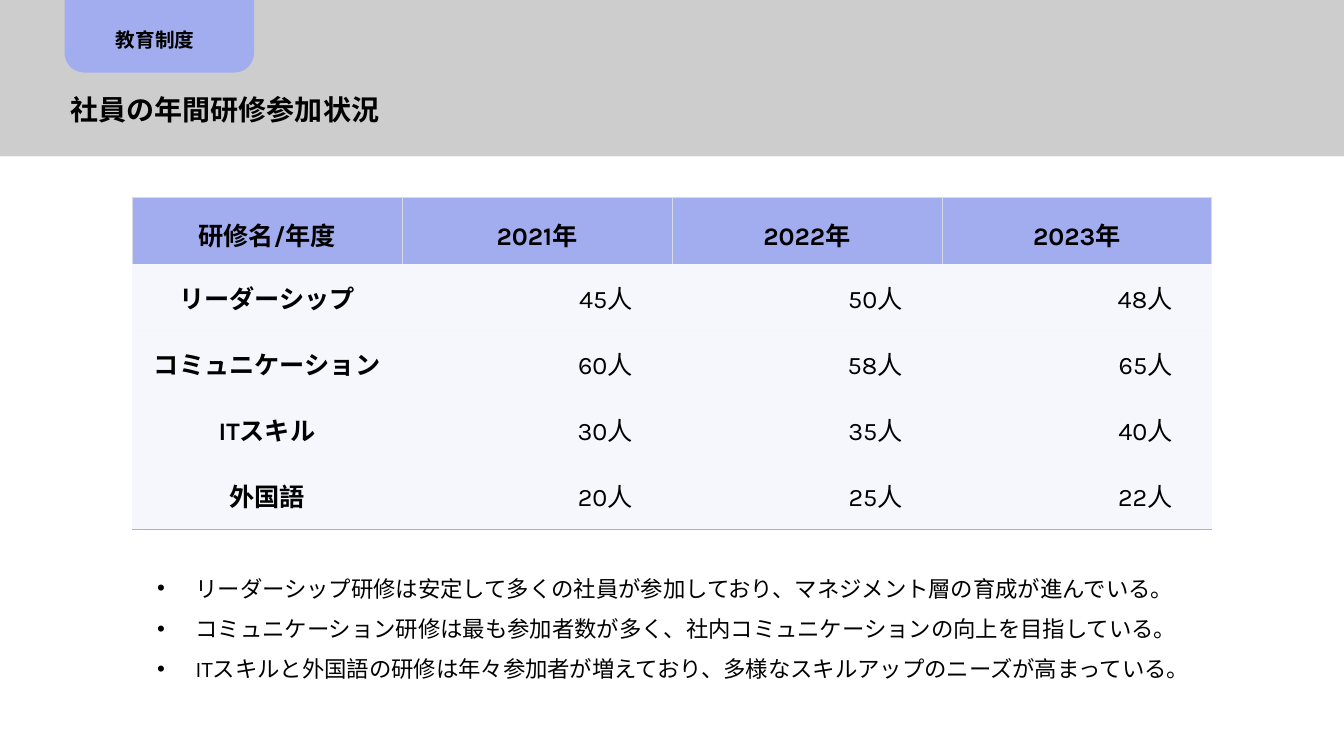
from typing import NamedTuple

from lxml.etree import SubElement
from pptx import Presentation
from pptx.dml.color import RGBColor
from pptx.enum.shapes import MSO_SHAPE as Preset
from pptx.enum.text import MSO_ANCHOR as Anchor, MSO_AUTO_SIZE as AutoSize, PP_ALIGN as Align
from pptx.oxml import parse_xml
from pptx.oxml.ns import nsdecls, qn
from pptx.util import Inches, Pt

FONT = "Karla"
BLACK = RGBColor(0x00, 0x00, 0x00)
GREY = RGBColor(0x80, 0x80, 0x80)
PALE_GREY = RGBColor(0xF2, 0xF2, 0xF2)
LAVENDER = RGBColor(0xA2, 0xAD, 0xF0)
HEADER_LINE = RGBColor(0xD9, 0xD9, 0xE3)
NO_STYLE = "{2D5ABB26-0587-4C30-8999-92F81FD0307C}"
SLIDE_WIDTH, SLIDE_HEIGHT = 13.33, 7.5


class Box(NamedTuple):
    left: float
    top: float
    width: float
    height: float

    def lengths(self) -> list:
        return [Inches(value) for value in self]


class Panel(NamedTuple):
    preset: Preset
    box: Box
    color: RGBColor
    opacity: int = 100
    corners: tuple = ()


class Training(NamedTuple):
    name: str
    attendees: tuple


BAND = Box(0, 0, SLIDE_WIDTH, 1.55)
PANELS = [
    Panel(Preset.RECTANGLE, BAND, GREY),
    Panel(Preset.RECTANGLE, BAND, PALE_GREY, opacity=68),
    Panel(Preset.ROUND_2_SAME_RECTANGLE, Box(0.64, 0, 1.88, 0.72), LAVENDER, corners=(0, 0.27)),
]
YEARS = (2021, 2022, 2023)
TRAININGS = [
    Training("リーダーシップ", (45, 50, 48)),
    Training("コミュニケーション", (60, 58, 65)),
    Training("ITスキル", (30, 35, 40)),
    Training("外国語", (20, 25, 22)),
]
FINDINGS = [
    "リーダーシップ研修は安定して多くの社員が参加しており、マネジメント層の育成が進んでいる。",
    "コミュニケーション研修は最も参加者数が多く、社内コミュニケーションの向上を目指している。",
    "ITスキルと外国語の研修は年々参加者が増えており、多様なスキルアップのニーズが高まっている。",
]


def set_opacity(fill_parent, percent: int) -> None:
    color = fill_parent.find(f"{qn('a:solidFill')}/{qn('a:srgbClr')}")
    SubElement(color, qn("a:alpha"), val=str(percent * 1000))


def write(frame, *lines: str, size: float, bold: bool = False, align: Align = Align.LEFT,
          spacing: float = 1.0, bullet: bool = False) -> None:
    for index, line in enumerate(lines):
        paragraph = frame.add_paragraph() if index else frame.paragraphs[0]
        if bullet:
            properties = paragraph._p.get_or_add_pPr()
            properties.set("marL", str(Inches(0.38)))
            properties.set("indent", str(-Inches(0.38)))
            SubElement(properties, qn("a:buFont"), typeface="Arial")
            SubElement(properties, qn("a:buChar"), char="•")
        paragraph.alignment = align
        paragraph.line_spacing = spacing
        run = paragraph.add_run()
        run.text = line
        run.font.name, run.font.size, run.font.bold = FONT, Pt(size), bold
        run.font.color.rgb = BLACK


def draw_panel(slide, panel: Panel):
    shape = slide.shapes.add_shape(panel.preset, *panel.box.lengths())
    shape.shadow.inherit = False
    shape.fill.solid()
    shape.fill.fore_color.rgb = panel.color
    shape.line.fill.background()
    if panel.opacity < 100:
        set_opacity(shape.element.spPr, panel.opacity)
    for index, corner in enumerate(panel.corners):
        shape.adjustments[index] = corner
    return shape


def add_text(slide, box: Box, *lines: str, wrap: bool = True, **style) -> None:
    frame = slide.shapes.add_textbox(*box.lengths()).text_frame
    frame.word_wrap = wrap
    frame.auto_size = AutoSize.SHAPE_TO_FIT_TEXT
    write(frame, *lines, **style)


def format_cell(cell, color: RGBColor, opacity: int, edges: str,
                edge_color: RGBColor, edge_width: float) -> None:
    cell.vertical_anchor = Anchor.MIDDLE
    cell.fill.solid()
    cell.fill.fore_color.rgb = color
    properties = cell._tc.get_or_add_tcPr()
    if opacity < 100:
        set_opacity(properties, opacity)
    # Borders come before the fill, in the order left, right, top, bottom
    for index, edge in enumerate("LRTB"):
        paint = f'<a:solidFill><a:srgbClr val="{edge_color}"/></a:solidFill>'
        if edge not in edges:
            paint = "<a:noFill/>"
        properties.insert(index, parse_xml(
            f'<a:ln{edge} {nsdecls("a")} w="{Pt(edge_width)}">{paint}</a:ln{edge}>'))


def add_training_table(slide, box: Box) -> None:
    rows, columns = len(TRAININGS) + 1, len(YEARS) + 1
    table = slide.shapes.add_table(rows, columns, *box.lengths()).table
    table._tbl.tblPr.find(qn("a:tableStyleId")).text = NO_STYLE
    table.horz_banding = False
    for column in table.columns:
        column.width = Inches(box.width / columns)
    for row in table.rows:
        row.height = Inches(box.height / rows)

    header = ["研修名/年度", *(f"{year}年" for year in YEARS)]
    for index, label in enumerate(header):
        cell = table.cell(0, index)
        cell.margin_top = Inches(0.12)
        format_cell(cell, LAVENDER, 100, "LRT", HEADER_LINE, 0.5)
        write(cell.text_frame, label, size=18, bold=True, align=Align.CENTER)

    for row, training in enumerate(TRAININGS, start=1):
        labels = [training.name, *(f"{count}人" for count in training.attendees)]
        for index, label in enumerate(labels):
            cell = table.cell(row, index)
            is_name = index == 0
            if not is_name:
                cell.margin_right = Inches(0.39)
            format_cell(cell, LAVENDER, 9, "B", LAVENDER, 1)
            write(cell.text_frame, label, size=18, bold=is_name,
                  align=Align.CENTER if is_name else Align.RIGHT)


def place_title(slide, box: Box, text: str) -> None:
    title = slide.shapes.title
    title.left, title.top, title.width, title.height = box.lengths()
    frame = title.text_frame
    frame.vertical_anchor = Anchor.TOP
    frame.word_wrap = True
    frame.auto_size = AutoSize.SHAPE_TO_FIT_TEXT
    write(frame, text, size=20, bold=True)


def main() -> None:
    presentation = Presentation()
    presentation.slide_width = Inches(SLIDE_WIDTH)
    presentation.slide_height = Inches(SLIDE_HEIGHT)
    slide = presentation.slides.add_slide(presentation.slide_layouts[5])

    # Header band and section tab, behind the title
    for panel in PANELS:
        slide.shapes.title.element.addprevious(draw_panel(slide, panel).element)
    place_title(slide, Box(0.6, 0.87, 4.22, 0.44), "社員の年間研修参加状況")
    add_text(slide, Box(1.05, 0.23, 1.07, 0.34), "教育制度", wrap=False, size=14, bold=True)

    # Attendance by training and year
    add_training_table(slide, Box(1.31, 1.96, 10.71, 3.29))

    # Findings
    add_text(slide, Box(1.46, 5.52, 10.71, 1.28), *FINDINGS, size=16, spacing=1.5, bullet=True)

    presentation.save("out.pptx")


if __name__ == "__main__":
    main()
